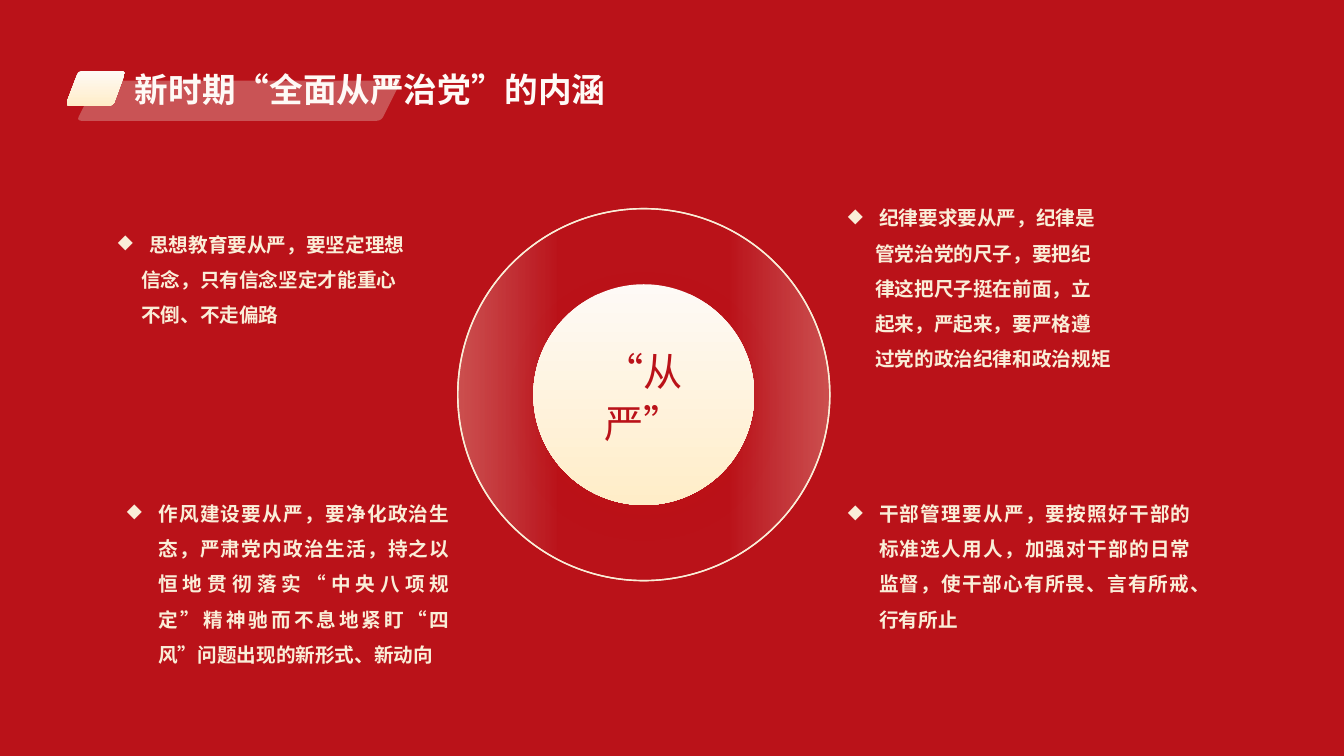
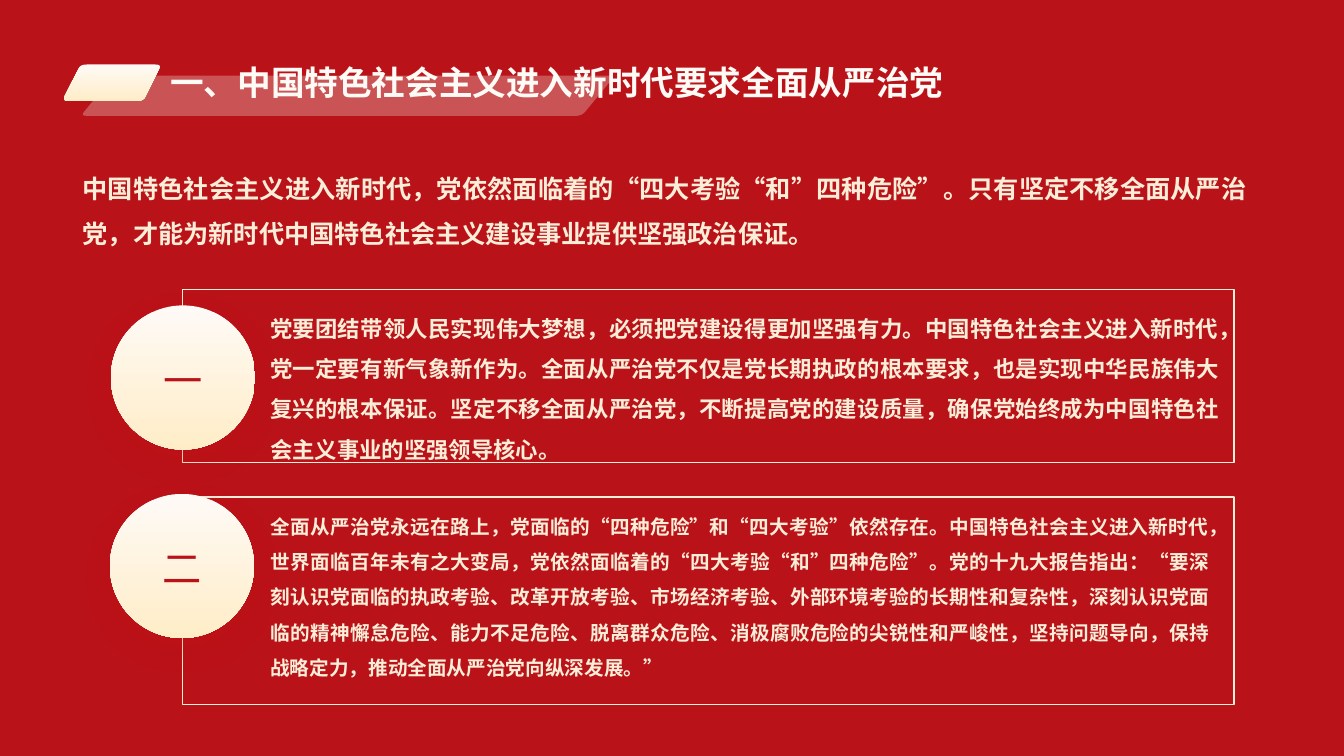
from lxml import etree
from pptx import Presentation
from pptx.dml.color import RGBColor
from pptx.enum import shapes, text
from pptx.oxml import ns
from pptx.util import Inches, Pt

RED = RGBColor(0xBA, 0x12, 0x19)
CREAM = RGBColor(0xFA, 0xEE, 0xD8)
MIST = RGBColor(0xF6, 0xF9, 0xFC)
GREY = RGBColor(0xEE, 0xEC, 0xE1)
IVORY = RGBColor(0xFE, 0xFA, 0xF6)
GOLD = RGBColor(0xFF, 0xED, 0xC8)
FONT = "Noto Sans CJK SC"
ALIGN = text.PP_ALIGN
OVAL = shapes.MSO_SHAPE.OVAL


def gradient(fill, angle=270, stops=((0, IVORY), (1, GOLD))):
    fill.gradient()
    fill.gradient_angle = angle
    for stop, (position, colour) in zip(fill.gradient_stops, stops):
        stop.position = position
        stop.color.rgb = colour


def write(shape, lines, size, colour=CREAM, bold=True, align=ALIGN.JUSTIFY,
          spacing=1.5, inset=0, hang=None):
    """Write one paragraph per line; hang bullets the first and indents the rest."""
    frame = shape.text_frame
    frame.word_wrap = True
    frame.margin_left = frame.margin_right = Inches(inset)
    frame.margin_top = frame.margin_bottom = Inches(inset / 2)
    for number, line in enumerate(lines):
        paragraph = frame.add_paragraph() if number else frame.paragraphs[0]
        paragraph.alignment = align
        paragraph.line_spacing = spacing
        if hang is not None:
            properties = paragraph._p.get_or_add_pPr()
            properties.set("marL", str(Inches(hang if number else 0.31)))
            properties.set("indent", str(0 if number else Inches(-0.31)))
            if number == 0:
                etree.SubElement(properties, ns.qn("a:buChar"), char="◆")
        run = paragraph.add_run()
        run.text = line
        run.font.size = Pt(size)
        run.font.bold = bold
        run.font.name = FONT
        if colour is None:
            gradient(run.font.fill)
        else:
            run.font.color.rgb = colour
        run_properties = run._r.get_or_add_rPr()
        run_properties.set("lang", "zh-CN")
        etree.SubElement(run_properties, ns.qn("a:ea"), typeface=FONT)


prs = Presentation()
prs.slide_width, prs.slide_height = Inches(13.33), Inches(7.5)
master_fill = prs.slide_master.background.fill
master_fill.solid()
master_fill.fore_color.rgb = RED

# Title with two slanted bands: left, top, width, height, slant
headings = [
    ("新时期“全面从严治党”的内涵", (1.24, 0.63, 5.79, 0.5),
     (0.76, 0.8, 3.22, 0.4, 0.2), (0.65, 0.7, 0.6, 0.35, 0.13)),
    ("一、中国特色社会主义进入新时代要求全面从严治党", (1.59, 0.57, 9.5, 0.5),
     (0.8, 0.75, 5.3, 0.4, 0.33), (0.62, 0.64, 0.98, 0.36, 0.18)),
]
slides = []
for heading, title_box, shade, chip in headings:
    slide = prs.slides.add_slide(prs.slide_layouts[6])
    slides.append(slide)
    for left, top, width, height, slant in (shade, chip):
        right, bottom = left + width, top + height
        corners = [(left, bottom), (left + slant, top),
                   (right, top), (right - slant, bottom)]
        outline = []
        for i, (x, y) in enumerate(corners):
            # Round each corner with a short quadratic curve
            (x0, y0), (x1, y1) = [
                (x + (nx - x) * cut, y + (ny - y) * cut)
                for nx, ny in (corners[i - 1], corners[(i + 1) % 4])
                for cut in [0.1 if ny != y else 0.06 / (width - slant)]]
            for t in (0, 0.25, 0.5, 0.75, 1):
                a, b, c = (1 - t) ** 2, 2 * t * (1 - t), t ** 2
                outline.append((Inches(a * x0 + b * x + c * x1),
                                Inches(a * y0 + b * y + c * y1)))
        builder = slide.shapes.build_freeform(*outline[0])
        builder.add_line_segments(outline[1:])
        band = builder.convert_to_shape()
        band.shadow.inherit = False
        band.line.fill.background()
        if (left, top, width, height, slant) == chip:
            gradient(band.fill)
        else:
            band.fill.solid()
            band.fill.fore_color.rgb = GREY
            colour = band._element.spPr.find(".//" + ns.qn("a:srgbClr"))
            etree.SubElement(colour, ns.qn("a:alpha"), val="30000")
    title = slide.shapes.add_textbox(*map(Inches, title_box))
    write(title, [heading], 24, None, spacing=1, inset=0.1)
strict, tasks = slides

# Glowing ring: two half-lit circles facing opposite ways
for rotation in (0, 180):
    ring = strict.shapes.add_shape(
        OVAL, Inches(4.54), Inches(2.07), Inches(3.69), Inches(3.69))
    ring.rotation = rotation
    ring.shadow.inherit = False
    ring.line.color.rgb = CREAM
    ring.line.width = Pt(1)
    gradient(ring.fill, 0, ((0.73, MIST), (1, CREAM)))
    stops = ring._element.spPr.findall(".//" + ns.qn("a:gs"))
    for stop, alpha in zip(stops, ("0", "28000")):
        etree.SubElement(stop[0], ns.qn("a:alpha"), val=alpha)

# Four requirements around the ring
requirements = [
    ((1.17, 2.19, 3.2, 1.02), 0.23,
     ["思想教育要从严，要坚定理想", "信念，只有信念坚定才能重心", "不倒、不走偏路"]),
    ((1.26, 4.86, 3.2, 1.73), 0.31,
     ["作风建设要从严，要净化政治生态，严肃党内政治生活，持之以恒地贯彻落实"
      "“中央八项规定”精神驰而不息地紧盯“四风”问题出现的新形式、新动向"]),
    ((8.41, 1.93, 3.4, 1.73), 0.27,
     ["纪律要求要从严，纪律是", "管党治党的尺子，要把纪", "律这把尺子挺在前面，立",
      "起来，严起来，要严格遵", "过党的政治纪律和政治规矩"]),
    ((8.41, 4.86, 3.4, 1.41), 0.31,
     ["干部管理要从严，要按照好干部的标准选人用人，加强对干部的日常监督，"
      "使干部心有所畏、言有所戒、行有所止"]),
]
for box, hang, lines in requirements:
    requirement = strict.shapes.add_textbox(*map(Inches, box))
    write(requirement, lines, 14, hang=hang)

# Lead paragraph
lead = tasks.shapes.add_textbox(
    Inches(0.82), Inches(1.57), Inches(11.55), Inches(0.91))
write(lead, [
    "中国特色社会主义进入新时代，党依然面临着的“四大考验“和”四种危险”。"
    "只有坚定不移全面从严治党，才能为新时代中国特色社会主义建设事业提供坚强政治保证。"], 18)

# Framed arguments: frame top and height, text box, size, wording
arguments = [
    (2.87, 1.72, (2.68, 2.99, 9.42, 1.62), 16,
     "党要团结带领人民实现伟大梦想，必须把党建设得更加坚强有力。"
     "中国特色社会主义进入新时代，党一定要有新气象新作为。"
     "全面从严治党不仅是党长期执政的根本要求，也是实现中华民族伟大复兴的根本保证。"
     "坚定不移全面从严治党，不断提高党的建设质量，"
     "确保党始终成为中国特色社会主义事业的坚强领导核心。"),
    (4.93, 2.06, (2.68, 4.99, 9.32, 1.77), 14,
     "全面从严治党永远在路上，党面临的“四种危险”和“四大考验”依然存在。"
     "中国特色社会主义进入新时代，世界面临百年未有之大变局，"
     "党依然面临着的“四大考验“和”四种危险”。党的十九大报告指出："
     "“要深刻认识党面临的执政考验、改革开放考验、市场经济考验、外部环境考验的长期性和复杂性，"
     "深刻认识党面临的精神懈怠危险、能力不足危险、脱离群众危险、消极腐败危险的尖锐性和严峻性，"
     "坚持问题导向，保持战略定力，推动全面从严治党向纵深发展。”"),
]
for top, height, box, size, wording in arguments:
    border = tasks.shapes.add_shape(
        shapes.MSO_SHAPE.RECTANGLE, Inches(1.81), Inches(top), Inches(10.43), Inches(height))
    border.shadow.inherit = False
    border.fill.background()
    border.line.color.rgb = CREAM
    border.line.width = Pt(1)
    argument = tasks.shapes.add_textbox(*map(Inches, box))
    write(argument, [wording], size)

# Labelled discs with a soft shadow
discs = [(strict, "“从严”", 5.29, 2.82, 2.19),
         (tasks, "一", 1.1, 3.03, 1.43),
         (tasks, "二", 1.09, 4.9, 1.43)]
for slide, label, left, top, size in discs:
    disc = slide.shapes.add_shape(
        OVAL, Inches(left), Inches(top), Inches(size), Inches(size))
    gradient(disc.fill)
    disc.line.fill.background()
    disc.shadow.inherit = False
    effects = disc._element.spPr.find(ns.qn("a:effectLst"))
    shadow = etree.SubElement(
        effects, ns.qn("a:outerShdw"), blurRad=str(Pt(20)), dist=str(Pt(8)), dir="5400000")
    tint = etree.SubElement(shadow, ns.qn("a:srgbClr"), val="C30F0F")
    etree.SubElement(tint, ns.qn("a:alpha"), val="23000")
    disc.text_frame.vertical_anchor = text.MSO_ANCHOR.MIDDLE
    write(disc, [label], 28, RED, bold=False, align=ALIGN.CENTER, spacing=1.1)

prs.save("out.pptx")
